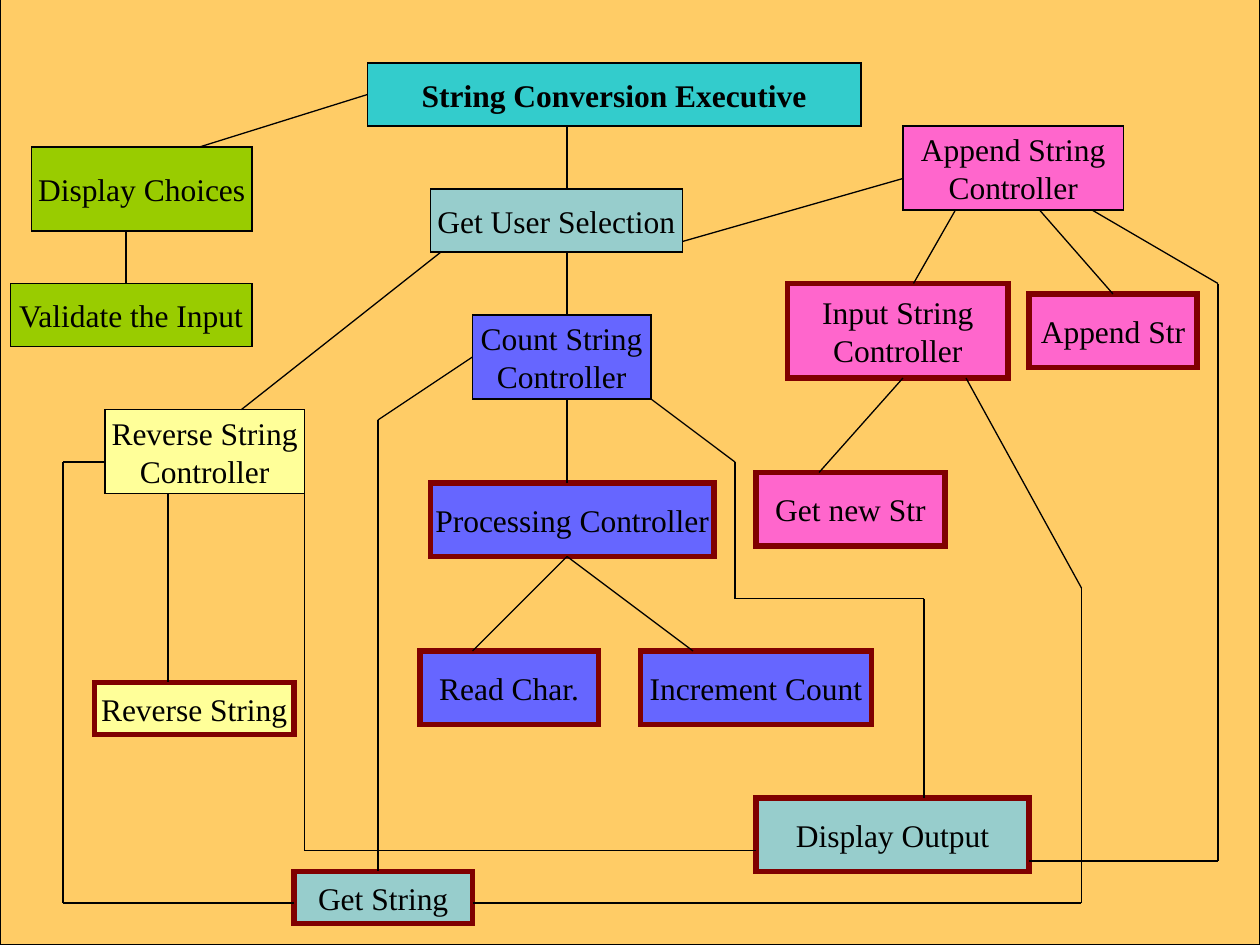
import pptx
import pptx.dml.color
import pptx.enum.shapes
import pptx.enum.text
import pptx.oxml.ns
import pptx.util
from lxml import etree

RGB = pptx.dml.color.RGBColor
BLACK = RGB(0x00, 0x00, 0x00)
MAROON = RGB(0x80, 0x00, 0x00)
SAND = RGB(0xFF, 0xCC, 0x66)
TURQUOISE = RGB(0x33, 0xCC, 0xCC)
TEAL = RGB(0x97, 0xCD, 0xCC)
GREEN = RGB(0x99, 0xCC, 0x00)
YELLOW = RGB(0xFF, 0xFF, 0x99)
VIOLET = RGB(0x66, 0x66, 0xFF)
PINK = RGB(0xFF, 0x66, 0xCC)

COLS, ROWS = 120, 90  # grid cells across and down the slide


class StructureChart:
    font, size = "Times New Roman", 18
    thin, thick = 0.75, 3

    def __init__(self, prs):
        self.s = prs.slides.add_slide(prs.slide_layouts[6])
        self.width, self.height = prs.slide_width, prs.slide_height
        self.sites = {}  # side midpoints: (column, row) -> (box, site)

    def x(self, col):
        return round(self.width * col / COLS)

    def y(self, row):
        return round(self.height * row / ROWS)

    def rect(self, col, row, cols, rows, fill, leaf=False):
        sp = self.s.shapes.add_shape(
            pptx.enum.shapes.MSO_SHAPE.RECTANGLE,
            self.x(col), self.y(row), self.x(cols), self.y(rows))
        sp.shadow.inherit = False
        sp.fill.solid()
        sp.fill.fore_color.rgb = fill
        sp.line.color.rgb = MAROON if leaf else BLACK
        sp.line.width = pptx.util.Pt(self.thick if leaf else self.thin)
        # Square border corners
        ln = sp._element.spPr.find(pptx.oxml.ns.qn("a:ln"))
        etree.SubElement(ln, pptx.oxml.ns.qn("a:miter"), lim="800000")
        return sp

    def box(self, text, col, row, cols, rows, fill, leaf=False, bold=False):
        sp = self.rect(col, row, cols, rows, fill, leaf)
        tf = sp.text_frame
        tf.word_wrap = False
        tf.vertical_anchor = pptx.enum.text.MSO_ANCHOR.MIDDLE
        tf.text = text
        for p in tf.paragraphs:
            p.alignment = pptx.enum.text.PP_ALIGN.CENTER
            for r in p.runs:
                r.font.name = self.font
                r.font.size = pptx.util.Pt(self.size)
                r.font.bold = bold
                r.font.color.rgb = BLACK
        mid_col, mid_row = col + cols / 2, row + rows / 2
        middles = [(mid_col, row), (col, mid_row),
                   (mid_col, row + rows), (col + cols, mid_row)]
        for site, point in enumerate(middles):
            self.sites[point] = (sp, site)

    def route(self, *points):
        """Draw straight connectors from point to point."""
        for start, end in zip(points, points[1:]):
            c = self.s.shapes.add_connector(
                pptx.enum.shapes.MSO_CONNECTOR.STRAIGHT,
                self.x(start[0]), self.y(start[1]),
                self.x(end[0]), self.y(end[1]))
            c.line.color.rgb = BLACK
            c.line.width = pptx.util.Pt(self.thin)
            etree.SubElement(c._element.spPr, pptx.oxml.ns.qn("a:effectLst"))
            if start in self.sites:
                c.begin_connect(*self.sites[start])
            if end in self.sites:
                c.end_connect(*self.sites[end])


def main():
    prs = pptx.Presentation()
    prs.slide_width = pptx.util.Inches(10)
    prs.slide_height = pptx.util.Inches(7.5)
    chart = StructureChart(prs)

    # Backdrop
    chart.rect(0, -1, COLS, ROWS + 1, SAND)

    # Executive and selection
    chart.box("String Conversion Executive", 35, 6, 47, 6, TURQUOISE, bold=True)
    chart.box("Get User Selection", 41, 18, 24, 6, TEAL)
    chart.box("Display Choices", 3, 14, 21, 8, GREEN)
    chart.box("Validate the Input", 1, 27, 23, 6, GREEN)

    # Reverse branch
    chart.box("Reverse String\nController", 10, 39, 19, 8, YELLOW)
    chart.box("Reverse String", 9, 65, 19, 5, YELLOW, leaf=True)

    # Count branch
    chart.box("Count String\nController", 45, 30, 17, 8, VIOLET)
    chart.box("Processing Controller", 41, 46, 27, 7, VIOLET, leaf=True)
    chart.box("Read Char.", 40, 62, 17, 7, VIOLET, leaf=True)
    chart.box("Increment Count", 61, 62, 22, 7, VIOLET, leaf=True)

    # Append branch
    chart.box("Append String\nController", 86, 12, 21, 8, PINK)
    chart.box("Input String\nController", 75, 27, 21, 9, PINK, leaf=True)
    chart.box("Append Str", 98, 28, 16, 7, PINK, leaf=True)
    chart.box("Get new Str", 72, 45, 18, 7, PINK, leaf=True)

    # Shared modules
    chart.box("Display Output", 72, 76, 26, 7, TEAL, leaf=True)
    chart.box("Get String", 28, 83, 17, 5, TEAL, leaf=True)

    # Calls from the executive and the selection
    chart.route((35, 9), (19, 14))
    chart.route((12, 22), (12, 27))
    chart.route((54, 12), (54, 18))
    chart.route((42, 24), (23, 39))
    chart.route((54, 24), (54, 30))
    chart.route((65, 23), (86, 17))

    # Calls within the branches
    chart.route((16, 47), (16, 65))
    chart.route((54, 38), (54, 46))
    chart.route((54, 53), (45, 62))
    chart.route((54, 53), (66, 62))
    chart.route((91, 20), (87, 27))
    chart.route((99, 20), (106, 28))
    chart.route((86, 36), (78, 45))

    # Calls to Get String
    chart.route((10, 44), (6, 44), (6, 86), (28, 86))
    chart.route((45, 34), (36, 40), (36, 83))
    chart.route((92, 36), (103, 56), (103, 86), (45, 86))

    # Calls to Display Output, kept clear of the boxes between
    chart.route((29, 47), (29, 81), (72, 81))
    chart.route((62, 38), (70, 44), (70, 57), (88, 57), (88, 76))
    chart.route((104, 20), (116, 27), (116, 82), (98, 82))

    prs.save("out.pptx")


if __name__ == "__main__":
    main()
